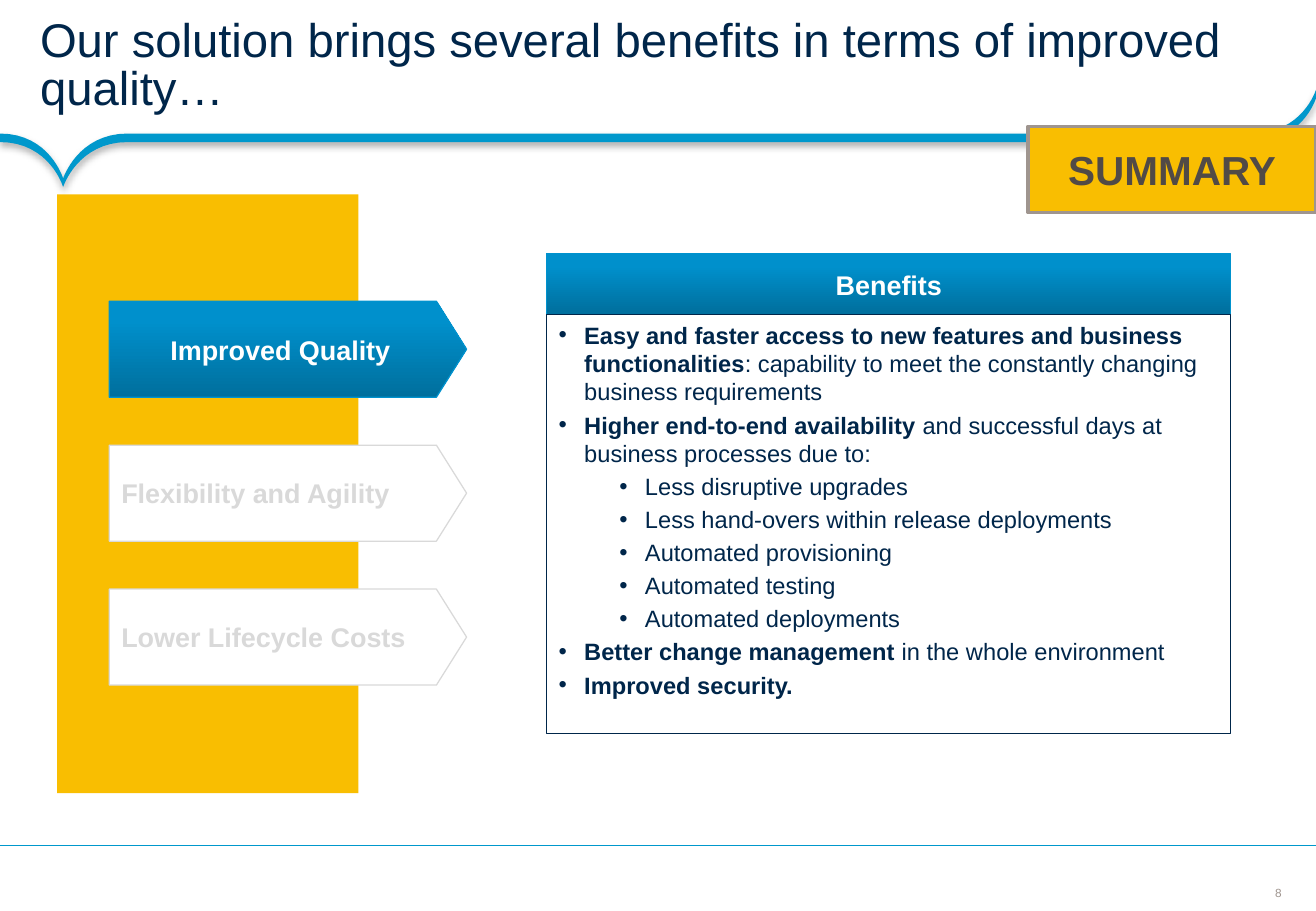
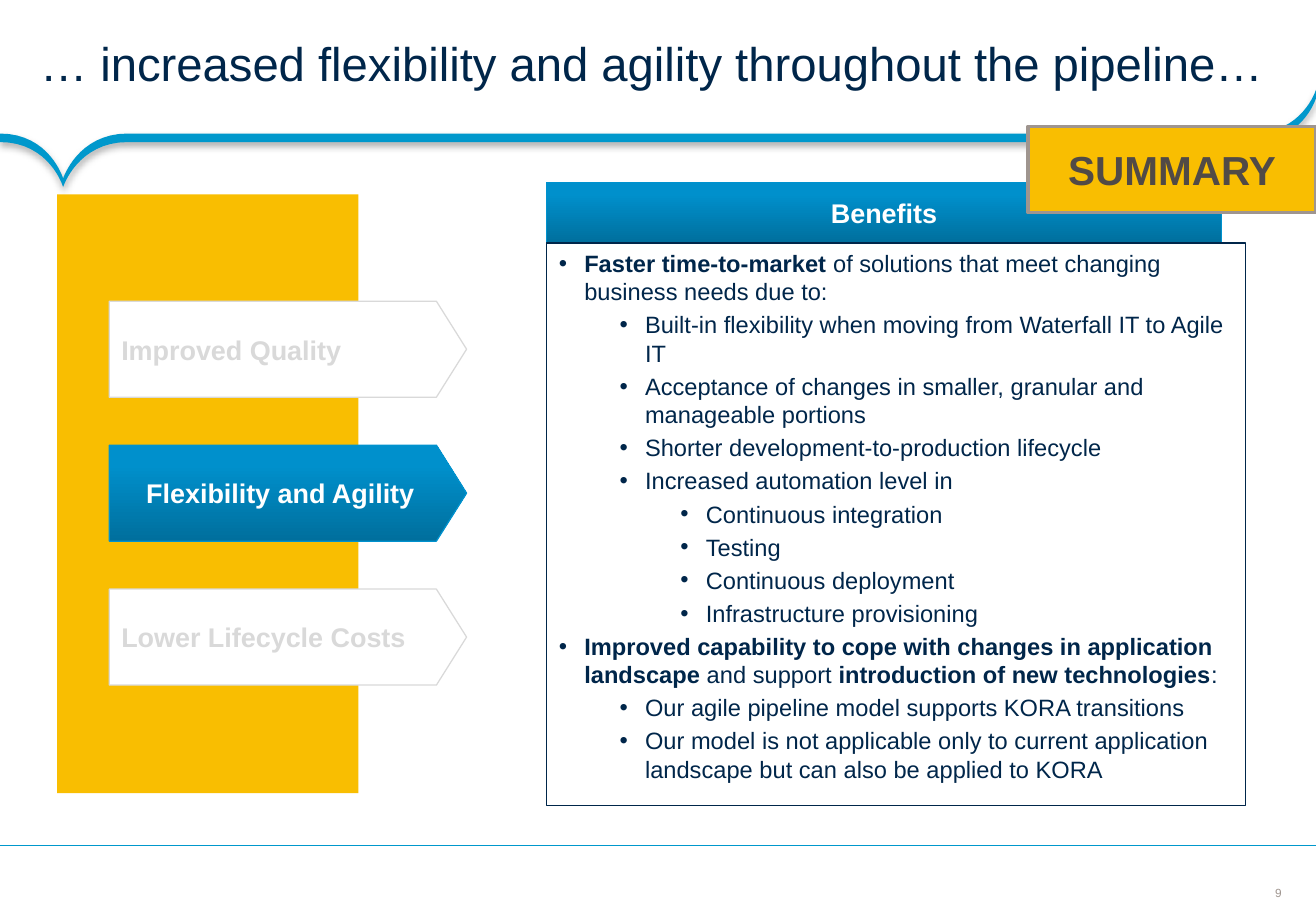
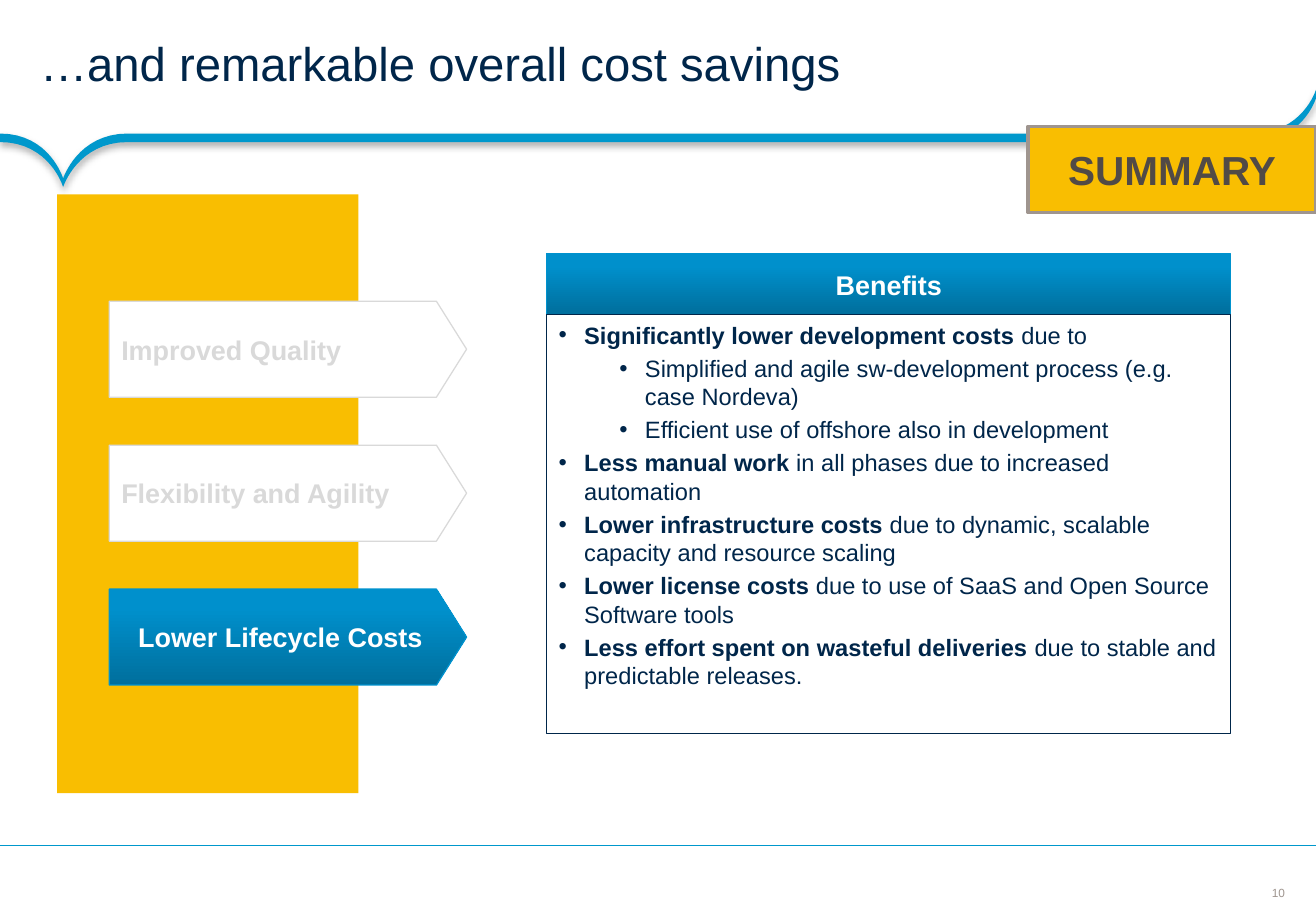
from lxml.etree import SubElement
from pptx import Presentation
from pptx.dml.color import RGBColor
from pptx.enum.shapes import MSO_CONNECTOR, MSO_SHAPE
from pptx.enum.text import MSO_ANCHOR, PP_ALIGN
from pptx.oxml.ns import qn
from pptx.util import Inches, Pt

NAVY, SKY, GOLD = "00264A", "0098CC", "F9BE01"
WHITE, PALE, TAUPE, BROWN = "FFFFFF", "D9D9D9", "9F958F", "514A46"
GRADIENT, GRADIENT_EDGE = ("006F9D", "0090CC"), "0092CE"
WIDTH, HEIGHT = 10.83, 7.5
DEFAULT_INSETS = (0.1, 0.05, 0.1, 0.05)
WIDE_INSETS = (0.2, 0.2, 0.2, 0.2)
THEMES = ["Improved Quality", "Flexibility and Agility", "Lower Lifecycle Costs"]

SLIDES = [
    dict(
        title="Our solution brings several benefits in terms of improved quality…",
        box=(4.5, 2.09, 5.63, 3.95), header_width=5.63,
        benefits=[
            (0, "**Easy and faster access to new features and business functionalities**"
                ": capability to meet the constantly changing business requirements"),
            (0, "**Higher end-to-end availability** and successful days at business processes due to:"),
            (1, "Less disruptive upgrades"),
            (1, "Less hand-overs within release deployments"),
            (1, "Automated provisioning"),
            (1, "Automated testing"),
            (1, "Automated deployments"),
            (0, "**Better change management** in the whole environment"),
            (0, "**Improved security.**"),
        ]),
    dict(
        title="… increased flexibility and agility throughout the pipeline…",
        box=(4.5, 1.5, 5.75, 5.13), header_width=5.55,
        benefits=[
            (0, "**Faster time-to-market** of solutions that meet changing business needs due to:"),
            (1, "Built-in flexibility when moving from Waterfall IT to Agile IT"),
            (1, "Acceptance of changes in smaller, granular and manageable portions"),
            (1, "Shorter development-to-production lifecycle"),
            (1, "Increased automation level in"),
            (2, "Continuous integration"),
            (2, "Testing"),
            (2, "Continuous deployment"),
            (2, "Infrastructure provisioning"),
            (0, "**Improved capability to cope with changes in application landscape**"
                " and support **introduction of new technologies**:"),
            (1, "Our agile pipeline model supports KORA transitions"),
            (1, "Our model is not applicable only to current application landscape"
                " but can also be applied to KORA"),
        ]),
    dict(
        title="…and remarkable overall cost savings",
        box=(4.5, 2.09, 5.63, 3.95), header_width=5.63,
        benefits=[
            (0, "**Significantly lower development costs** due to"),
            (1, "Simplified and agile sw-development process (e.g. case Nordeva)"),
            (1, "Efficient use of offshore also in development"),
            (0, "**Less manual work** in all phases due to increased automation"),
            (0, "**Lower infrastructure costs** due to dynamic, scalable capacity and resource scaling"),
            (0, "**Lower license costs** due to use of SaaS and Open Source Software tools"),
            (0, "**Less effort spent on wasteful deliveries** due to stable and predictable releases."),
        ]),
]


def rgb(value):
    return RGBColor.from_string(value)


def inches(box):
    return [Inches(length) for length in box]


def write(shape, paragraphs, size, color, bold=False, align=PP_ALIGN.LEFT,
          anchor=MSO_ANCHOR.MIDDLE, insets=DEFAULT_INSETS, wrap=True,
          bullets=False, before=0, spacing=None):
    frame = shape.text_frame
    frame.word_wrap = wrap
    frame.vertical_anchor = anchor
    (frame.margin_left, frame.margin_top,
     frame.margin_right, frame.margin_bottom) = inches(insets)
    for index, (level, text) in enumerate(paragraphs):
        paragraph = frame.add_paragraph() if index else frame.paragraphs[0]
        paragraph.alignment = align
        paragraph.space_before = Pt(before)
        if spacing:
            paragraph.line_spacing = spacing
        if bullets:
            paragraph.level = level + 1
            properties = paragraph._p.get_or_add_pPr()
            properties.set("marL", str(Inches(0.21 + 0.5 * level)))
            properties.set("indent", str(Inches(-0.21)))
            SubElement(properties, qn("a:buFont"), typeface="Arial")
            SubElement(properties, qn("a:buChar"), char="•")
        for part, words in enumerate(text.split("**")):
            if words:
                run = paragraph.add_run()
                run.text = words
                run.font.name = "Arial"
                run.font.size = Pt(size)
                run.font.bold = bold or part % 2 == 1
                run.font.color.rgb = rgb(color)


def add_box(slide, box, fill, edge=None, weight=0.75, preset=MSO_SHAPE.RECTANGLE):
    shape = slide.shapes.add_shape(preset, *inches(box))
    shape.shadow.inherit = False
    if fill == GRADIENT:
        shape.fill.gradient()
        shape.fill.gradient_angle = 90
        for stop, color, position in zip(shape.fill.gradient_stops, GRADIENT, (0, 0.8)):
            stop.color.rgb = rgb(color)
            stop.position = position
    else:
        shape.fill.solid()
        shape.fill.fore_color.rgb = rgb(fill)
    if edge:
        shape.line.color.rgb = rgb(edge)
        shape.line.width = Pt(weight)
    else:
        shape.line.fill.background()
    return shape


def curve(start, first, second, end, steps=16):
    for step in range(steps + 1):
        t = step / steps
        weights = ((1 - t) ** 3, 3 * t * (1 - t) ** 2, 3 * t * t * (1 - t), t ** 3)
        yield tuple(sum(w * c for w, c in zip(weights, axis))
                    for axis in zip(start, first, second, end))


def add_ribbon(slide, top, thickness=0.07, drop=0.37):
    tip = (0.52, top + drop)
    corner = (WIDTH, top - 0.36)
    upper = [*curve((0, top), (0.41, top), tip, tip),
             *curve(tip, tip, (0.64, top), (1.05, top)),
             *curve((10.3, top), (10.72, top), corner, corner)]
    lower = [(x, y + thickness) for x, y in reversed(upper)]
    start, *rest = [inches(point) for point in upper + lower]
    builder = slide.shapes.build_freeform(*start)
    builder.add_line_segments(rest, close=True)
    ribbon = builder.convert_to_shape()
    ribbon.shadow.inherit = False
    ribbon.fill.solid()
    ribbon.fill.fore_color.rgb = rgb(SKY)
    ribbon.line.fill.background()
    effects = ribbon._element.spPr.find(qn("a:effectLst"))
    shadow = SubElement(effects, qn("a:outerShdw"), blurRad=str(Pt(4)),
                        dist=str(Pt(2)), dir="5400000", algn="t", rotWithShape="0")
    black = SubElement(shadow, qn("a:srgbClr"), val="000000")
    SubElement(black, qn("a:alpha"), val="31000")


def add_frame(slide, title, number):
    page = slide.shapes.add_textbox(*inches((10.46, 7.29, 0.12, 0.12)))
    write(page, [(0, str(number))], 7, TAUPE, align=PP_ALIGN.CENTER,
          insets=(0, 0, 0, 0), wrap=False)
    add_ribbon(slide, 1.1)
    footer = slide.shapes.add_connector(MSO_CONNECTOR.STRAIGHT,
                                        *inches((WIDTH, 6.96, 0, 6.96)))
    footer.line.color.rgb = rgb(SKY)
    footer.line.width = Pt(0.75)
    SubElement(footer._element.spPr, qn("a:effectLst"))
    heading = slide.shapes.add_textbox(*inches((0, 0, WIDTH, 1.1)))
    write(heading, [(0, title)], 28, NAVY, insets=(0.33, 0.04, 0.18, 0.04), spacing=0.85)


def add_themes(slide, box, active):
    left, top, _, _ = box
    add_box(slide, box, GOLD)
    for index, theme in enumerate(THEMES):
        chosen = index == active
        arrow = add_box(slide, (left + 0.43, top + 0.88 + 1.185 * index, 2.94, 0.79),
                        GRADIENT if chosen else WHITE, GRADIENT_EDGE if chosen else PALE,
                        preset=MSO_SHAPE.PENTAGON)
        arrow.adjustments[0] = 0.314
        if chosen:
            write(arrow, [(0, theme)], 16, WHITE, bold=True,
                  align=PP_ALIGN.CENTER, insets=WIDE_INSETS)
        else:
            write(arrow, [(0, theme)], 16, PALE, bold=True, before=3.2)


def add_benefits(slide, box, header_width, benefits):
    left, top, width, height = box
    header_height = 0.5
    header = add_box(slide, (left, top, header_width, header_height), GRADIENT, GRADIENT_EDGE)
    write(header, [(0, "Benefits")], 16, WHITE, bold=True,
          align=PP_ALIGN.CENTER, insets=WIDE_INSETS)
    body = add_box(slide, (left, top + header_height, width, height - header_height), WHITE, NAVY)
    write(body, benefits, 14, NAVY, anchor=MSO_ANCHOR.TOP, bullets=True, before=2.8)


def add_summary(slide, box):
    summary = add_box(slide, box, GOLD, TAUPE, weight=2)
    write(summary, [(0, "SUMMARY")], 24, BROWN, bold=True, align=PP_ALIGN.CENTER)


deck = Presentation()
deck.slide_width, deck.slide_height = inches((WIDTH, HEIGHT))
for position, content in enumerate(SLIDES):
    slide = deck.slides.add_slide(deck.slide_layouts[6])
    add_frame(slide, content["title"], 8 + position)
    add_themes(slide, (0.47, 1.6, 2.48, 4.93), position)
    add_benefits(slide, content["box"], content["header_width"], content["benefits"])
    add_summary(slide, (8.46, 1.04, 2.37, 0.71))
deck.save("out.pptx")
